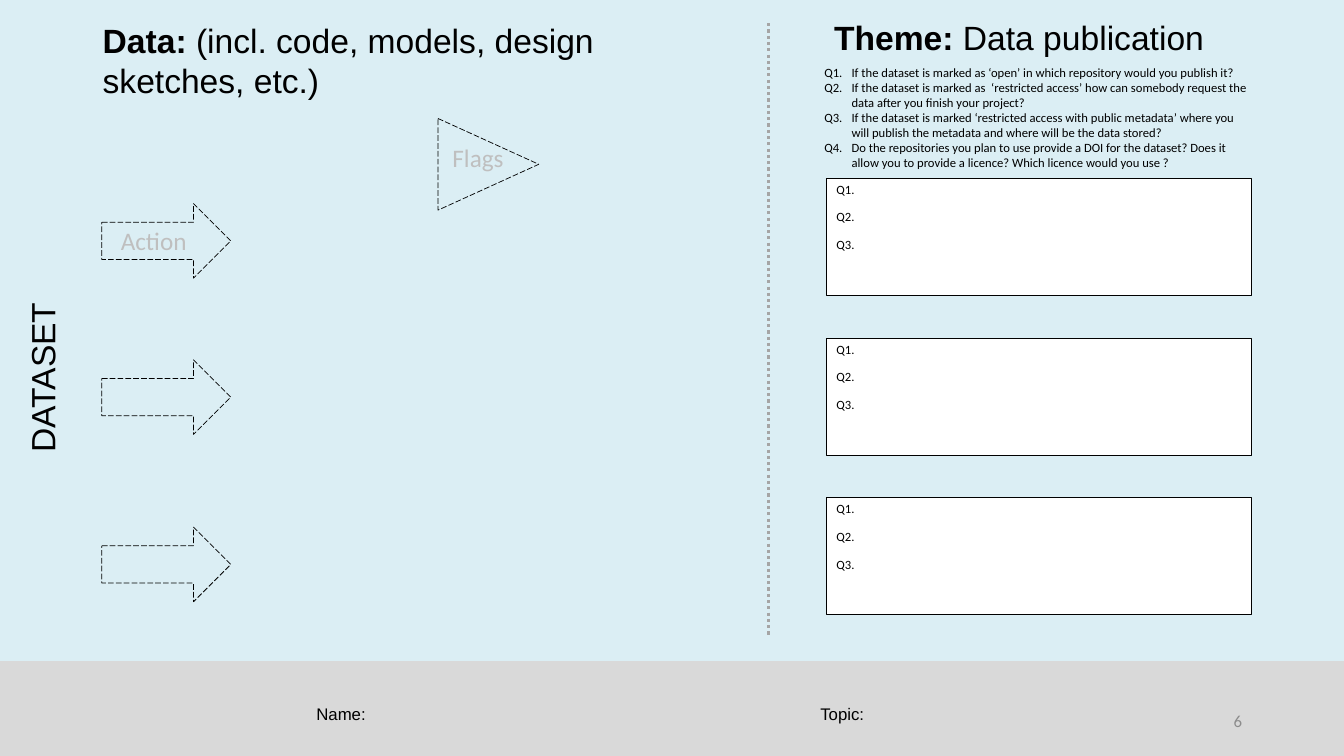
from pptx import Presentation, util as u
from pptx.dml.color import RGBColor
from pptx.enum import dml, shapes, text
from pptx.oxml.ns import qn
from lxml import etree

CELL = u.Inches(0.1)
COLUMNS, ROWS = 133.33, 75

SKY = RGBColor(0xDB, 0xEE, 0xF4)
FOOTER_GREY = RGBColor(0xD9, 0xD9, 0xD9)
DIVIDER_GREY = RGBColor(0xA5, 0xA5, 0xA5)
HINT_GREY = RGBColor(0xBF, 0xBF, 0xBF)
NUMBER_GREY = RGBColor(0x8C, 0x8C, 0x8C)
BLACK = RGBColor(0, 0, 0)
WHITE = RGBColor(0xFF, 0xFF, 0xFF)

QUESTIONS = [
    ["If the dataset is marked as ‘open’ in which repository would you publish it?\u00a0"],
    ["If the dataset is marked as\u00a0 ‘restricted access’ how can somebody request the",
     "data after you finish your project?"],
    ["If the dataset is marked ‘restricted access with public metadata’ where you",
     "will publish the metadata and where will be the data stored?"],
    ["Do the repositories you plan to use provide a DOI for the dataset? Does it",
     "allow you to provide a licence? Which licence would you use ?"],
]


def cells(*counts):
    return [round(count * CELL) for count in counts]


def add_run(paragraph, words, size, font="Arial", color=BLACK, bold=False):
    run = paragraph.add_run()
    run.text = words
    run.font.size = u.Pt(size)
    run.font.name = font
    run.font.color.rgb = color
    run.font.bold = bold


def add_label(slide, area, runs, align=text.PP_ALIGN.LEFT, spacing=1.0, **style):
    label = slide.shapes.add_textbox(*cells(*area))
    label.text_frame.word_wrap = True
    paragraph = label.text_frame.paragraphs[0]
    paragraph.alignment = align
    paragraph.line_spacing = spacing
    for words, bold in runs:
        add_run(paragraph, words, bold=bold, **style)
    return label


def add_outline(slide, kind, area, fill=None, line_width=0, dash=None):
    outline = slide.shapes.add_shape(kind, *cells(*area))
    outline.shadow.inherit = False
    if fill is None:
        outline.fill.background()
    else:
        outline.fill.solid()
        outline.fill.fore_color.rgb = fill
    if line_width:
        outline.line.color.rgb = BLACK
        outline.line.width = u.Pt(line_width)
        outline.line.dash_style = dash
    else:
        outline.line.fill.background()
    return outline


def add_divider(slide, column, top, bottom):
    divider = slide.shapes.add_connector(
        shapes.MSO_CONNECTOR.STRAIGHT, *cells(column, top, column, bottom))
    divider.line.color.rgb = DIVIDER_GREY
    divider.line.width = u.Pt(2.25)
    divider.line.dash_style = dml.MSO_LINE.ROUND_DOT
    etree.SubElement(divider._element.spPr, qn("a:effectLst"))


def add_questions(slide, area):
    frame = slide.shapes.add_textbox(*cells(*area)).text_frame
    frame.word_wrap = True
    for number, lines in enumerate(QUESTIONS, 1):
        paragraph = frame.paragraphs[0] if number == 1 else frame.add_paragraph()
        hanging = paragraph._p.get_or_add_pPr()
        hanging.set("marL", str(u.Inches(0.27)))
        hanging.set("indent", str(-u.Inches(0.27)))
        add_run(paragraph, f"Q{number}.\t{lines[0]}", 9, "Calibri")
        for line in lines[1:]:
            paragraph.add_line_break()
            add_run(paragraph, line, 9, "Calibri")


def add_answer_box(slide, area):
    box = add_outline(slide, shapes.MSO_SHAPE.RECTANGLE, area, WHITE, 0.75)
    frame = box.text_frame
    frame.word_wrap = True
    frame.vertical_anchor = text.MSO_ANCHOR.TOP
    for number in range(1, 4):
        paragraph = frame.paragraphs[0] if number == 1 else frame.add_paragraph()
        paragraph.alignment = text.PP_ALIGN.LEFT
        paragraph.line_spacing = 0.9
        paragraph.space_before = u.Pt(10)
        add_run(paragraph, f"Q{number}.", 9, "Calibri")


def main():
    deck = Presentation()
    deck.slide_width, deck.slide_height = cells(COLUMNS, ROWS)
    slide = deck.slides.add_slide(deck.slide_layouts[6])
    slide.background.fill.solid()
    slide.background.fill.fore_color.rgb = SKY
    center, right = text.PP_ALIGN.CENTER, text.PP_ALIGN.RIGHT

    add_outline(slide, shapes.MSO_SHAPE.RECTANGLE,
                (0, 65.6, COLUMNS, ROWS - 65.6), FOOTER_GREY)
    dataset = add_label(slide, (-17.9, 35.3, 45, 4.3), [("DATASET", False)],
                        center, 0.8, size=24)
    dataset.rotation = 270
    add_divider(slide, 76.2, 2.3, 63.1)

    add_questions(slide, (80.8, 5.9, 44.4, 11.6))
    add_label(slide, (68.8, 1.2, 64.6, 5),
              [("Theme: ", True), ("Data publication", False)], center, size=24)

    dashed = {"line_width": 0.5, "dash": dml.MSO_LINE.LONG_DASH}
    for top in (20.2, 35.7, 52.3):
        add_outline(slide, shapes.MSO_SHAPE.RIGHT_ARROW, (10.1, top, 12.8, 7.4), **dashed)
    for hint, area in (("Action", (11, 21.9, 9.3, 4)), ("Flags", (43.9, 13.6, 7.1, 4))):
        add_label(slide, area, [(hint, False)], size=18, font="Calibri", color=HINT_GREY)
    flag = add_outline(slide, shapes.MSO_SHAPE.ISOSCELES_TRIANGLE,
                       (43.9, 11.3, 9.1, 10), **dashed)
    flag.rotation = 90
    add_label(slide, (9.2, 1.5, 65.1, 5),
              [("Data: ", True), ("(incl. code, models, design sketches, etc.)", False)],
              size=24)

    for row in range(3):
        add_answer_box(slide, (82, 17.7 + row * 15.85, 42.2, 11.6))

    for field, left in (("Name:", 30.4), ("Topic:", 80.4)):
        add_label(slide, (left, 69.5, 45, 4.3), [(field, False)], spacing=0.9, size=12)
    page = add_label(slide, (94.2, 69.5, 30, 4), [("6", False)], right,
                     size=12, font="Calibri", color=NUMBER_GREY)
    page.text_frame.vertical_anchor = text.MSO_ANCHOR.MIDDLE

    deck.save("out.pptx")


main()
